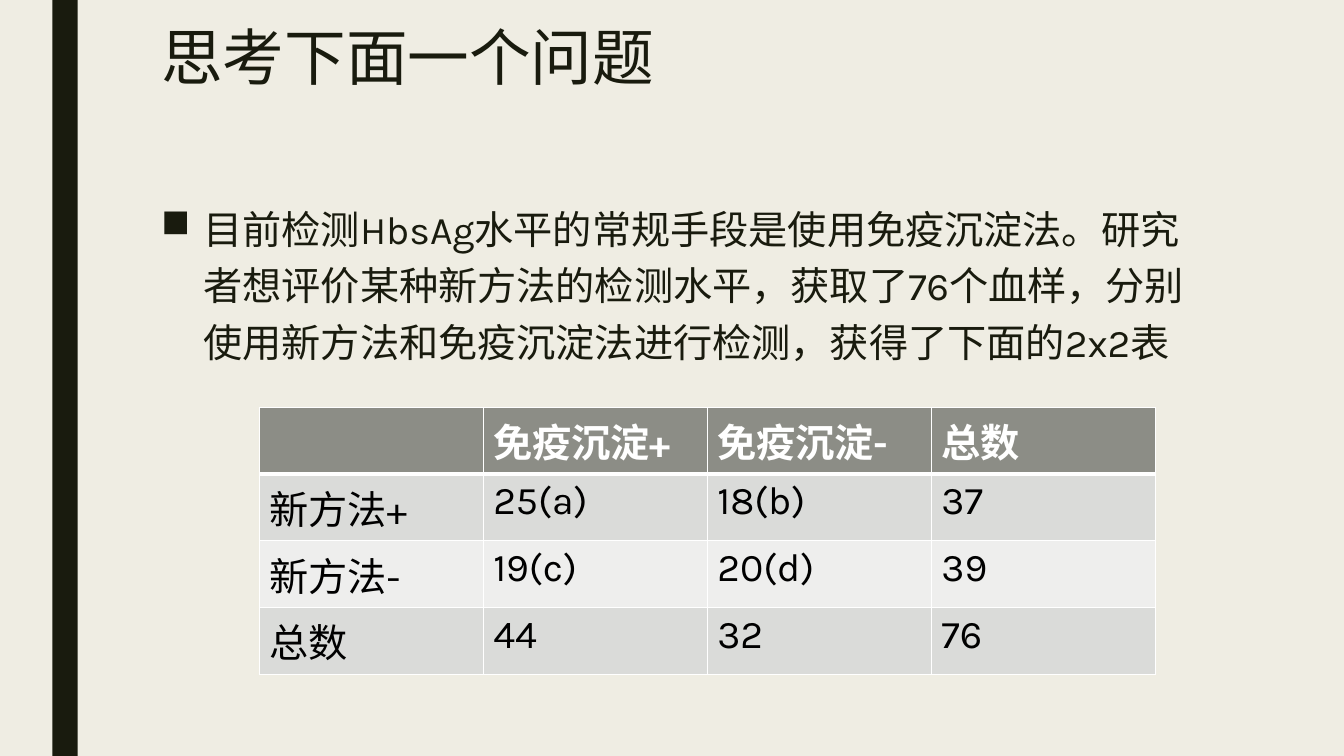
import pptx
import pptx.util
import pptx.dml.color
import pptx.enum.shapes
import pptx.enum.text
import pptx.oxml
import pptx.oxml.ns
import lxml.etree

Inches = pptx.util.Inches
theme = {
    "font": "Karla", "title_size": 44, "text_size": 28,
    "background": "EFEDE3", "ink": "191B0E", "black": "000000", "white": "FFFFFF",
    "header": "8C8D86", "bands": ["DADBD9", "EEEEED"],
}


def rgb(name):
    return pptx.dml.color.RGBColor.from_string(name)


def write(frame, text, size=theme["text_size"], color=theme["ink"], bold=False, spacing=None):
    paragraph = frame.paragraphs[0]
    paragraph.alignment = pptx.enum.text.PP_ALIGN.LEFT
    paragraph.line_spacing = spacing
    run = paragraph.add_run()
    run.text = text
    run.font.name = theme["font"]
    run.font.size = pptx.util.Pt(size)
    run.font.bold = bold
    run.font.color.rgb = rgb(color)
    frame.word_wrap = True
    frame.auto_size = pptx.enum.text.MSO_AUTO_SIZE.NONE
    frame.vertical_anchor = pptx.enum.text.MSO_ANCHOR.TOP
    return paragraph


deck = pptx.Presentation()
deck.slide_width, deck.slide_height = Inches(13.33), Inches(7.5)
slide = deck.slides.add_slide(deck.slide_layouts[5])
slide.background.fill.solid()
slide.background.fill.fore_color.rgb = rgb(theme["background"])

side_bar = slide.shapes.add_shape(
    pptx.enum.shapes.MSO_SHAPE.RECTANGLE, Inches(0.52), 0, Inches(0.25), Inches(7.5))
side_bar.shadow.inherit = False
side_bar.fill.solid()
side_bar.fill.fore_color.rgb = rgb(theme["ink"])
side_bar.line.fill.background()

heading = slide.shapes.title
heading.left, heading.top = Inches(1.5), Inches(0.23)
heading.width, heading.height = Inches(10.5), Inches(1.62)
write(heading.text_frame, "思考下面一个问题", size=theme["title_size"], spacing=0.89)

problem = slide.shapes.add_textbox(Inches(1.5), Inches(1.89), Inches(10.5), Inches(2.15))
statement = write(
    problem.text_frame,
    "目前检测HbsAg水平的常规手段是使用免疫沉淀法。研究者想评价某种新方法的检测水平，"
    "获取了76个血样，分别使用新方法和免疫沉淀法进行检测，获得了下面的2x2表",
    spacing=1.2)
statement.space_before, statement.space_after = pptx.util.Pt(10), pptx.util.Pt(2)
indent = statement._p.get_or_add_pPr()
indent.set("marL", str(Inches(0.42)))
indent.set("indent", str(-Inches(0.42)))
bullet = lxml.etree.SubElement(indent, pptx.oxml.ns.qn("a:buChar"))
bullet.set("char", "■")

counts = [
    ["", "免疫沉淀+", "免疫沉淀-", "总数"],
    ["新方法+", "25(a)", "18(b)", "37"],
    ["新方法-", "19(c)", "20(d)", "39"],
    ["总数", "44", "32", "76"],
]
results = slide.shapes.add_table(
    4, 4, Inches(2.57), Inches(4.04), Inches(8.89), Inches(2.65)).table
for row, values in enumerate(counts):
    is_header = row == 0
    for column, value in enumerate(values):
        cell = results.cell(row, column)
        cell.fill.solid()
        cell.fill.fore_color.rgb = rgb(theme["header"] if is_header else theme["bands"][(row - 1) % 2])
        write(cell.text_frame, value, bold=is_header,
              color=theme["white"] if is_header else theme["black"])
        for order, side in enumerate("LRTB"):
            thick = (is_header and side == "B") or (row == 1 and side == "T")
            border = pptx.oxml.parse_xml(
                f'<a:ln{side} {pptx.oxml.ns.nsdecls("a")} w="{pptx.util.Pt(3 if thick else 1)}">'
                f'<a:solidFill><a:srgbClr val="{theme["white"]}"/></a:solidFill></a:ln{side}>')
            cell._tc.get_or_add_tcPr().insert(order, border)

deck.save("out.pptx")
